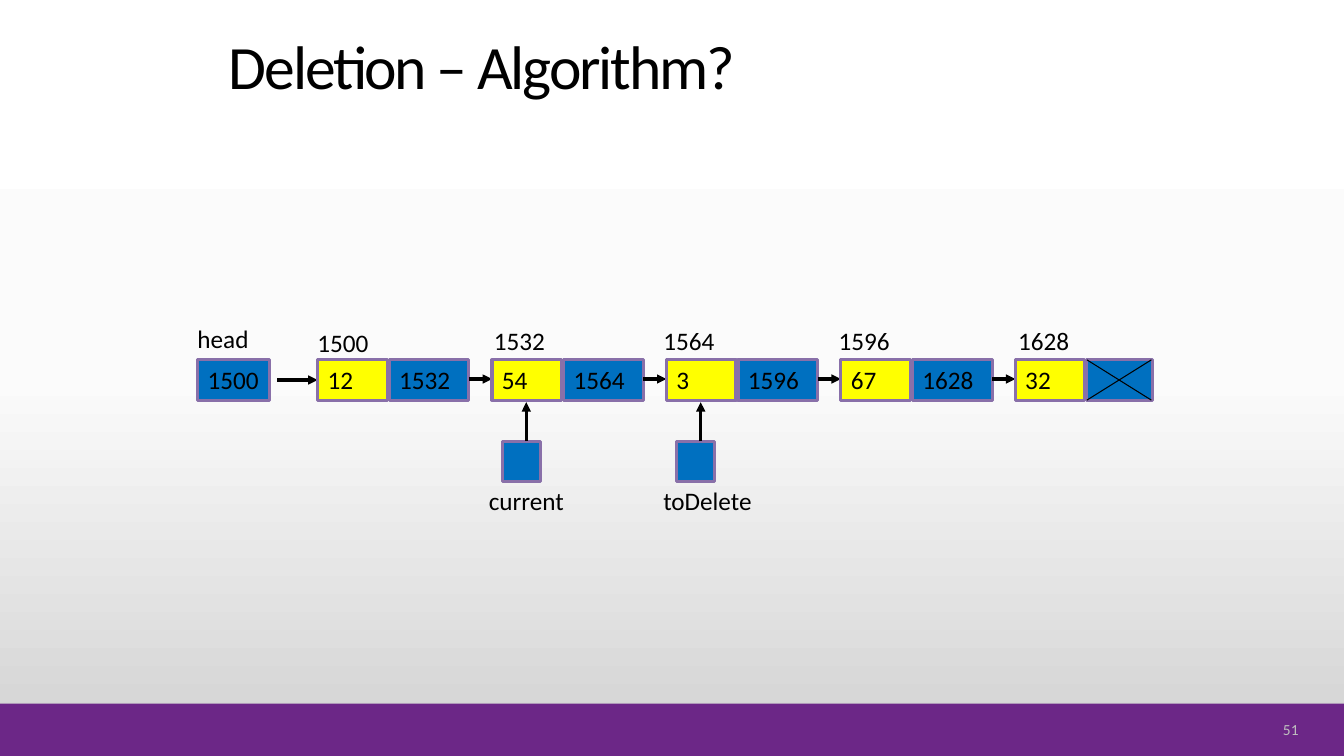
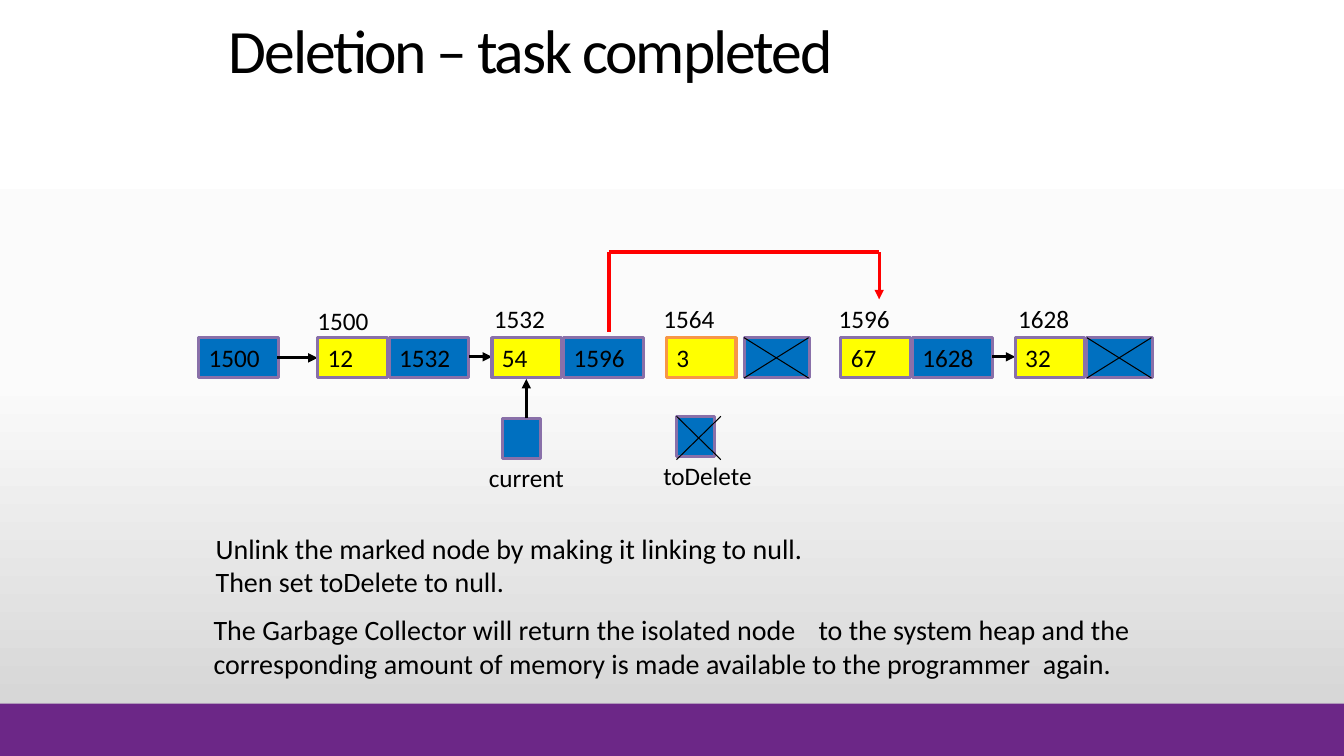
from copy import deepcopy
from dataclasses import dataclass
from itertools import pairwise

from lxml.etree import SubElement
from pptx import Presentation
from pptx.dml.color import RGBColor
from pptx.enum.shapes import MSO_CONNECTOR as Connector, MSO_SHAPE as Preset
from pptx.enum.text import MSO_ANCHOR as Anchor, PP_ALIGN as Align
from pptx.oxml.ns import qn
from pptx.util import Inches, Pt

COLORS = {
    "band": "6C2787", "text": "000000", "number": "BFBFBF",
    "data": "FFFF00", "link": "0070C0", "border": "8970A9",
    "marked": "F79646", "route": "FF0000",
}
BACKGROUND = [(0, "FFFFFF"), (0.5, "FBFBFB"), (1, "D1D1D1")]
FONT = "Calibri"
NODE_STEP = 1.73
CELL_HEIGHT = 0.4
LINK_OFFSET = 0.71
LINK_WIDTH = 0.79


@dataclass
class Node:
    """One list node; a link of None is drawn as null."""
    value: str
    address: str
    label_shift: float
    link: str | None = None
    arrow: bool = True
    border: str = "border"
    link_offset: float = LINK_OFFSET
    label_rise: float = 0.39


def rgb(name):
    """Return the named colour."""
    return RGBColor.from_string(COLORS[name])


def write(shape, text, size=18, color="text", align=Align.LEFT,
          anchor=Anchor.TOP, line_spacing=None, tracking=None):
    """Write text into a shape, one paragraph for each line."""
    frame = shape.text_frame
    frame.word_wrap = True
    frame.margin_right = 0
    frame.vertical_anchor = anchor
    for index, line in enumerate(text.split("\n")):
        paragraph = frame.add_paragraph() if index else frame.paragraphs[0]
        paragraph.alignment = align
        paragraph.line_spacing = line_spacing
        run = paragraph.add_run()
        run.text = line
        run.font.name = FONT
        run.font.size = Pt(size)
        run.font.color.rgb = rgb(color)
        if tracking is not None:
            run.font._element.set("spc", str(int(tracking * 100)))


def add_text(shapes, text, left, top, width, height, **format):
    """Add a text box."""
    box = shapes.add_textbox(Inches(left), Inches(top), Inches(width), Inches(height))
    write(box, text, **format)


def add_box(shapes, left, top, width, height, fill, border=None, text=None):
    """Add a filled rectangle with an optional border and text."""
    shape = shapes.add_shape(Preset.RECTANGLE, Inches(left), Inches(top),
                             Inches(width), Inches(height))
    shape.shadow.inherit = False
    shape.fill.solid()
    shape.fill.fore_color.rgb = rgb(fill)
    if border:
        shape.line.color.rgb = rgb(border)
        shape.line.width = Pt(2.25)
    else:
        shape.line.fill.background()
    if text:
        write(shape, text)


def add_line(shapes, start, end, color="text", width=2.25, arrow=False):
    """Add a straight line, with an arrowhead at its end if asked."""
    connector = shapes.add_connector(Connector.STRAIGHT, *map(Inches, (*start, *end)))
    connector.line.color.rgb = rgb(color)
    connector.line.width = Pt(width)
    if arrow:
        SubElement(connector.line._get_or_add_ln(), qn("a:tailEnd"), type="triangle")
    SubElement(connector._element.spPr, qn("a:effectLst"))


def add_cross(shapes, left, top, width, height):
    """Cross out a box with its two diagonals."""
    right, bottom = left + width, top + height
    add_line(shapes, (left, top), (right, bottom), width=0.75)
    add_line(shapes, (right, top), (left, bottom), width=0.75)


def add_route(shapes, points):
    """Draw the new link as a bent red arrow."""
    group = shapes.add_group_shape().shapes
    for start, end in pairwise(points):
        add_line(group, start, end, color="route", arrow=end == points[-1])


def add_node(shapes, node, left, top):
    """Draw a node with its value, link, address and arrow."""
    link_left = left + node.link_offset
    add_box(shapes, left, top, 0.69, CELL_HEIGHT, "data", node.border, node.value)
    if node.link:
        add_box(shapes, link_left, top, LINK_WIDTH, CELL_HEIGHT, "link", "border", node.link)
    else:
        add_box(shapes, link_left, top, 0.65, CELL_HEIGHT, "link", "border")
        add_cross(shapes, link_left, top, 0.64, CELL_HEIGHT)
    add_text(shapes, node.address, left + node.label_shift, top - node.label_rise,
             LINK_WIDTH, CELL_HEIGHT)
    if node.link and node.arrow:
        middle = top + 0.19
        add_line(shapes, (link_left + LINK_WIDTH, middle), (left + NODE_STEP, middle), arrow=True)


def add_chain(shapes, nodes, left, top, head_left, head_width):
    """Draw the head and the linked nodes at equal steps."""
    add_box(shapes, head_left, top, head_width, CELL_HEIGHT, "link", "border", nodes[0].address)
    add_line(shapes, (2.75, top + 0.2), (left, top + 0.2), arrow=True)
    for index, node in enumerate(nodes):
        add_node(shapes, node, left + index * NODE_STEP, top)


def add_reference(shapes, name, node_left, top, is_null=False):
    """Draw a named reference below a node, crossed out when null."""
    group = shapes.add_group_shape().shapes
    add_box(group, node_left + 0.1, top, 0.38, CELL_HEIGHT, "link", "border")
    if is_null:
        add_cross(group, node_left + 0.1, top, 0.44, 0.43)
    else:
        arrow_left = node_left + 0.34
        add_line(group, (arrow_left, top), (arrow_left, top - 0.39), arrow=True)
    add_text(group, name, node_left - 0.13, top + 0.39, 1.09, CELL_HEIGHT)


def set_background(master):
    """Give the master its vertical gradient."""
    fill = master.background.fill
    fill.gradient()
    fill.gradient_angle = 270
    stops = master.element.find(".//" + qn("a:gsLst"))
    stops.append(deepcopy(stops[-1]))
    for stop, (position, color) in zip(fill.gradient_stops, BACKGROUND):
        stop.position = position
        stop.color.rgb = RGBColor.from_string(color)


def add_slide(presentation, title, title_height):
    """Add a slide with the band and title, and return its shapes."""
    shapes = presentation.slides.add_slide(presentation.slide_layouts[6]).shapes
    add_box(shapes, 0, 6.98, 13.33, 0.52, "band")
    add_text(shapes, title, 2.17, 0.13, 8.25, title_height, size=44,
             anchor=Anchor.BOTTOM, line_spacing=0.9, tracking=-1.5)
    return shapes


def build_question(presentation, left=3.15, top=3.57):
    """Build the slide with the list before the deletion."""
    shapes = add_slide(presentation, "Deletion – Algorithm?", 0.94)
    nodes = [
        Node("12", "1500", -0.1, "1532", label_rise=0.37),
        Node("54", "1532", -0.08, "1564"),
        Node("3", "1564", -0.13, "1596"),
        Node("67", "1596", -0.12, "1628"),
        Node("32", "1628", -0.07),
    ]
    add_chain(shapes, nodes, left, top, 1.96, 0.71)
    add_text(shapes, "head", 1.86, top - 0.41, 0.72, CELL_HEIGHT)
    for index, name in enumerate(("current", "toDelete"), start=1):
        add_reference(shapes, name, left + index * NODE_STEP, top + 0.81)
    add_text(shapes, "51", 12.23, 7.12, 0.65, 0.23, size=11, color="number",
             align=Align.RIGHT, anchor=Anchor.MIDDLE)


def build_result(presentation, left=3.15, top=3.35):
    """Build the slide with the list after the deletion."""
    shapes = add_slide(presentation, "Deletion – task completed", 0.78)
    nodes = [
        Node("12", "1500", -0.1, "1532", label_rise=0.37),
        Node("54", "1532", -0.08, "1596", arrow=False),
        Node("3", "1564", -0.13, border="marked", link_offset=0.77),
        Node("67", "1596", -0.12, "1628"),
        Node("32", "1628", -0.07),
    ]
    add_route(shapes, [(6.04, top - 0.06), (6.04, 2.5), (8.72, 2.5), (8.72, top - 0.38)])
    add_chain(shapes, nodes, left, top, 1.97, LINK_WIDTH)
    add_reference(shapes, "current", left + NODE_STEP, top + 0.8)
    add_reference(shapes, "toDelete", left + 2 * NODE_STEP, top + 0.78, is_null=True)
    add_text(shapes, "Unlink the marked node by making it linking to null.\n"
             "Then set toDelete to null.", 2.04, 5.22, 8.91, 0.77, size=20)
    add_text(shapes, "The Garbage Collector will return the isolated node\tto the system "
             "heap and the corresponding amount of memory is made available to the "
             "programmer  again.", 2.02, 6.03, 9.42, 0.91, size=20)


def main():
    """Build and save the presentation."""
    presentation = Presentation()
    presentation.slide_width = Inches(13.33)
    presentation.slide_height = Inches(7.5)
    set_background(presentation.slide_master)
    build_question(presentation)
    build_result(presentation)
    presentation.save("out.pptx")


if __name__ == "__main__":
    main()
